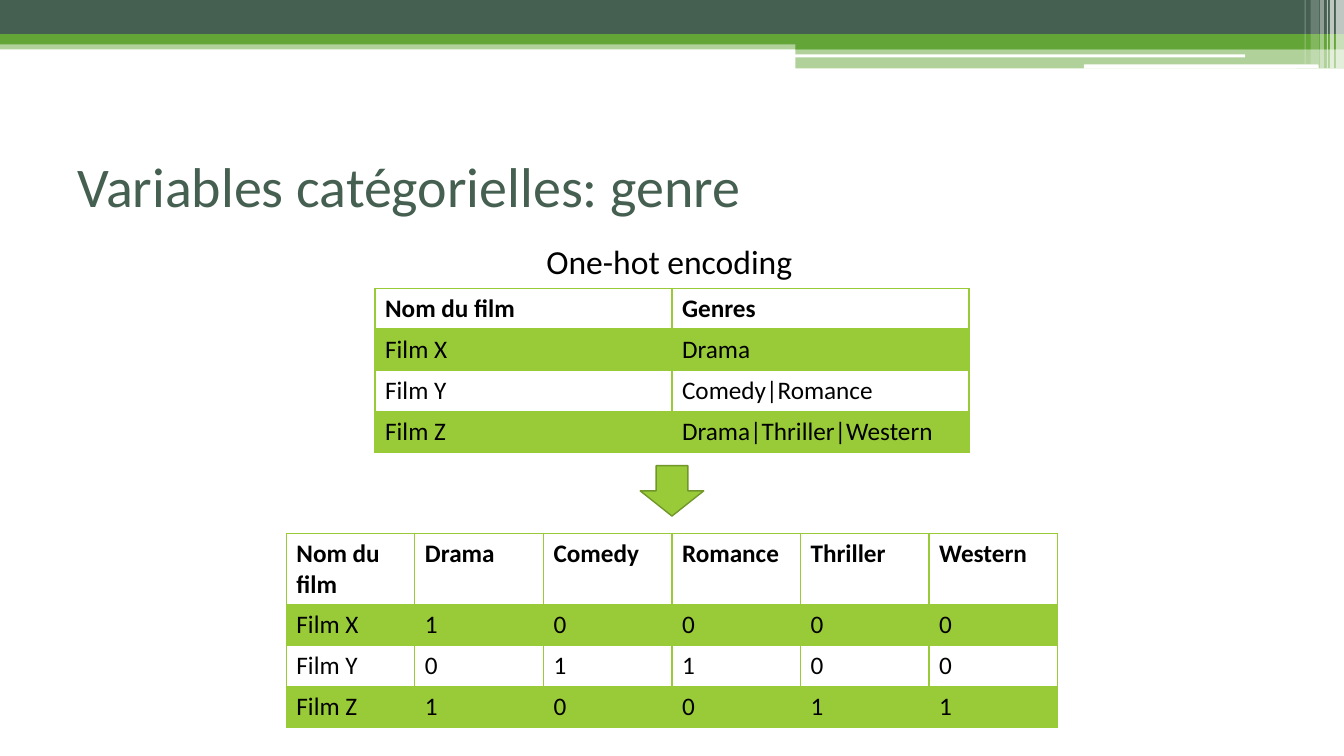
"""Build a slide that shows one-hot encoding of film genres."""
import pptx
import pptx.dml.color
import pptx.enum.shapes
import pptx.enum.text
import pptx.oxml
import pptx.oxml.ns
import pptx.util

Inches = pptx.util.Inches
RGBColor = pptx.dml.color.RGBColor
SHAPE = pptx.enum.shapes.MSO_SHAPE
ANCHOR = pptx.enum.text.MSO_ANCHOR
DARK = RGBColor(0x45, 0x5F, 0x51)
GREEN = RGBColor(0x63, 0xA5, 0x37)
LIME = RGBColor(0x99, 0xCB, 0x38)
OLIVE = RGBColor(0x71, 0x96, 0x29)
WHITE = RGBColor(255, 255, 255)
BLACK = RGBColor(0, 0, 0)


def write(frame, text, size=18, color=BLACK, bold=False, anchor=ANCHOR.TOP):
    frame.word_wrap = True
    frame.vertical_anchor = anchor
    run = frame.paragraphs[0].add_run()
    run.text = text
    run.font.name = "Calibri"
    run.font.size = pptx.util.Pt(size)
    run.font.bold = bold
    run.font.color.rgb = color


def paint(fill, color, alpha=100):
    fill.solid()
    fill.fore_color.rgb = color
    if alpha < 100:
        node = fill._xPr.find(".//" + pptx.oxml.ns.qn("a:srgbClr"))
        node.append(pptx.oxml.parse_xml(
            f'<a:alpha {pptx.oxml.ns.nsdecls("a")} val="{alpha * 1000}"/>'))


deck = pptx.Presentation()
deck.slide_width = Inches(13.33)
deck.slide_height = Inches(7.5)
slide = deck.slides.add_slide(deck.slide_layouts[6])
shapes = slide.shapes

bars = [
    (SHAPE.RECTANGLE, 0, 0.4, 13.33, 0.09, GREEN, 50),
    (SHAPE.RECTANGLE, 0, 0, 13.33, 0.34, DARK, 100),
    (SHAPE.RECTANGLE, 0, 0.34, 13.33, 0.1, GREEN, 100),
    (SHAPE.RECTANGLE, 7.89, 0.39, 5.44, 0.1, GREEN, 100),
    (SHAPE.RECTANGLE, 7.89, 0.48, 5.44, 0.2, GREEN, 50),
    (SHAPE.ROUNDED_RECTANGLE, 7.88, 0.54, 4.47, 0.03, WHITE, 100),
    (SHAPE.ROUNDED_RECTANGLE, 10.75, 0.64, 2.33, 0.04, WHITE, 100),
    (SHAPE.RECTANGLE, 13.25, 0, 0.08, 0.68, WHITE, 65),
    (SHAPE.RECTANGLE, 13.19, 0, 0.04, 0.68, WHITE, 65),
    (SHAPE.RECTANGLE, 13.16, 0, 0.01, 0.68, WHITE, 60),
    (SHAPE.RECTANGLE, 13.09, 0, 0.04, 0.68, WHITE, 40),
    (SHAPE.RECTANGLE, 13, 0, 0.08, 0.64, WHITE, 20),
    (SHAPE.RECTANGLE, 12.94, 0, 0.01, 0.64, WHITE, 30),
]
for kind, left, top, width, height, color, alpha in bars:
    bar = shapes.add_shape(kind, Inches(left), Inches(top), Inches(width), Inches(height))
    bar.shadow.inherit = False
    bar.line.fill.background()
    paint(bar.fill, color, alpha)

title = shapes.add_textbox(Inches(0.67), Inches(1.25), Inches(12), Inches(1.17))
write(title.text_frame, "Variables catégorielles: genre", size=40, color=DARK,
      anchor=ANCHOR.MIDDLE)

films = {
    "Film X": ["Drama"],
    "Film Y": ["Comedy", "Romance"],
    "Film Z": ["Drama", "Thriller", "Western"],
}
genres = ["Drama", "Comedy", "Romance", "Thriller", "Western"]
lists = [["Nom du film", "Genres"]]
flags = [["Nom du film", *genres]]
for film, kinds in films.items():
    lists.append([film, "|".join(kinds)])
    flags.append([film, *("1" if genre in kinds else "0" for genre in genres)])

tables = [
    (lists, 3.72, 2.86, 5.89, 0.41),
    (flags, 2.84, 5.29, 7.65, 0.71),
]
for rows, left, top, width, head in tables:
    count = len(rows[0])
    table = shapes.add_table(len(rows), count, Inches(left), Inches(top),
                             Inches(width), Inches(head + 1.21)).table
    for column in table.columns:
        column.width = Inches(width / count)
    for index, texts in enumerate(rows):
        table.rows[index].height = Inches(0.405 if index else head)
        for spot, text in enumerate(texts):
            cell = table.cell(index, spot)
            write(cell.text_frame, text, bold=index == 0)
            for side in "LRTB":
                thick = (index, side) in [(0, "B"), (1, "T")]
                cell._tc.get_or_add_tcPr().append(pptx.oxml.parse_xml(
                    f'<a:ln{side} {pptx.oxml.ns.nsdecls("a")} w="{25400 if thick else 12700}">'
                    f'<a:solidFill><a:srgbClr val="{LIME}"/></a:solidFill></a:ln{side}>'))
            if index % 2:
                paint(cell.fill, LIME, 20)
            else:
                cell.fill.background()

arrow = shapes.add_shape(SHAPE.DOWN_ARROW, Inches(6.35), Inches(4.62),
                         Inches(0.63), Inches(0.5))
arrow.shadow.inherit = False
paint(arrow.fill, LIME)
arrow.line.color.rgb = OLIVE
arrow.line.width = pptx.util.Pt(1)

label = shapes.add_textbox(Inches(5.32), Inches(2.34), Inches(2.7), Inches(0.5))
write(label.text_frame, "One-hot encoding", size=24)

deck.save("out.pptx")
